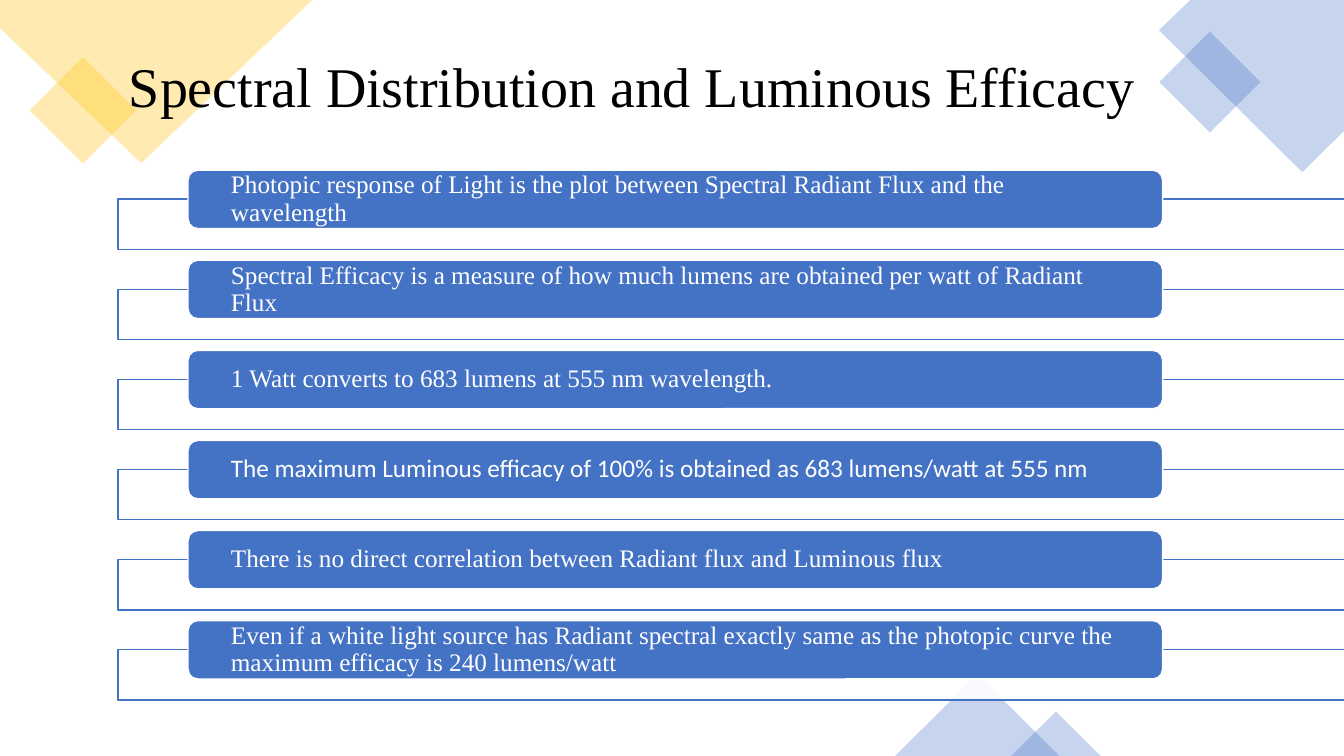
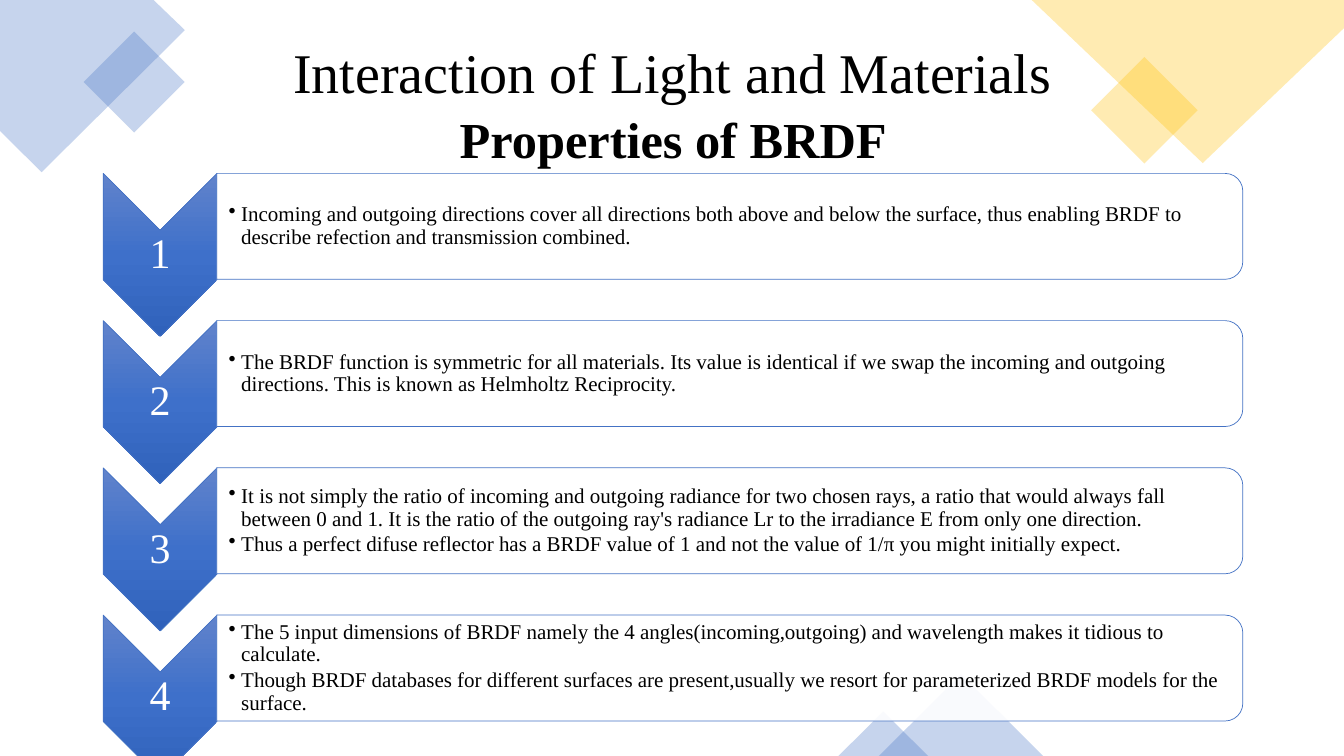
"""Build two lighting slides that share corner decoration and title style."""
from dataclasses import dataclass

from lxml import etree
from pptx import Presentation
from pptx.dml.color import RGBColor
from pptx.enum.shapes import MSO_SHAPE
from pptx.enum.text import MSO_ANCHOR, PP_ALIGN
from pptx.oxml.ns import qn
from pptx.util import Cm, Pt

RECTANGLE = MSO_SHAPE.RECTANGLE
ROUNDED = MSO_SHAPE.ROUNDED_RECTANGLE
TRIANGLE = MSO_SHAPE.ISOSCELES_TRIANGLE
CHEVRON = MSO_SHAPE.CHEVRON
ROUND_TOP = MSO_SHAPE.ROUND_2_SAME_RECTANGLE
LEFT, CENTER = PP_ALIGN.LEFT, PP_ALIGN.CENTER
TOP, MIDDLE = MSO_ANCHOR.TOP, MSO_ANCHOR.MIDDLE

BLUE, YELLOW, WHITE, BLACK = "4472C4", "FFC000", "FFFFFF", "000000"
CHEVRON_STOPS = ((0, "6183CB"), (50, "3E70CA"), (100, "3062BB"))
SERIF, SANS = "Times New Roman", "Calibri"
SLIDE_WIDTH, SLIDE_HEIGHT = 33.87, 19.05
DECOR_OPACITY, PANEL_OPACITY = 30, 90
YELLOW_CORNER = ((0, 0), (7.87, 0), (3.56, 4.11), (0, 0.71))
BLUE_CORNER = ((30, 0), (33.87, 0), (33.87, 3.3), (32.82, 4.34), (29.21, 0.76))
STATEMENT_PITCH, PROPERTY_PITCH = 2.27, 3.71


@dataclass(frozen=True)
class Box:
    """Frame in centimetres."""
    left: float
    top: float
    width: float
    height: float

    def down(self, distance: float) -> "Box":
        """Return the frame moved down."""
        return Box(self.left, self.top + distance, self.width, self.height)

    def turned(self) -> "Box":
        """Return the frame that fills this one after a quarter turn."""
        shift = (self.width - self.height) / 2
        return Box(self.left + shift, self.top - shift, self.height, self.width)


@dataclass(frozen=True)
class TextStyle:
    """Look of a block of text."""
    size: float
    color: str = BLACK
    font: str = SERIF
    bold: bool = False
    align: PP_ALIGN = LEFT
    anchor: MSO_ANCHOR = TOP
    insets: tuple[float, float, float, float] = (0.25, 0.13, 0.25, 0.13)
    spacing: float = 1.0
    space_after: float = 0
    bullet: bool = False


@dataclass(frozen=True)
class Statement:
    """Sentence on a blue bar."""
    text: str
    font: str = SERIF


TITLE = TextStyle(40)
CENTERED_TITLE = TextStyle(40, align=CENTER)
SUBTITLE = TextStyle(36, bold=True, align=CENTER)
NUMBER = TextStyle(30, WHITE, align=CENTER, anchor=MIDDLE,
                   insets=(0.05, 0.05, 0.05, 0.05), spacing=0.9)
PROPERTY = TextStyle(15, anchor=MIDDLE, insets=(0.3, 0.03, 0.03, 0.03),
                     spacing=0.9, space_after=2.25, bullet=True)

STATEMENTS = (
    Statement("Photopic response of Light is the plot between Spectral Radiant Flux "
              "and the wavelength"),
    Statement("Spectral Efficacy is a measure of how much lumens are obtained per watt "
              "of Radiant Flux"),
    Statement("1 Watt converts to 683 lumens at 555 nm wavelength."),
    Statement("The maximum Luminous efficacy of 100% is obtained as 683 lumens/watt "
              "at 555 nm", SANS),
    Statement("There is no direct correlation between Radiant flux and Luminous flux"),
    Statement("Even if a white light source has Radiant spectral exactly same as the "
              "photopic curve the maximum efficacy is 240 lumens/watt"),
)
PROPERTIES = (
    ("Incoming and outgoing directions cover all directions both above and below the "
     "surface, thus enabling BRDF to describe refection and transmission combined.",),
    ("The BRDF function is symmetric for all materials. Its value is identical if we "
     "swap the incoming and outgoing directions. This is known as Helmholtz "
     "Reciprocity.",),
    ("It is not simply the ratio of incoming and outgoing radiance for two chosen rays, "
     "a ratio that would always fall between 0 and 1. It is the ratio of the outgoing "
     "ray's radiance Lr to the irradiance E from only one direction.",
     "Thus a perfect difuse reflector has a BRDF value of 1 and not the value of 1/π "
     "you might initially expect."),
    ("The 5 input dimensions of BRDF namely the 4 angles(incoming,outgoing) and "
     "wavelength makes it tidious to calculate.",
     "Though BRDF databases for different surfaces are present,usually we resort for "
     "parameterized BRDF models for the surface."),
)


def rgb(color: str) -> RGBColor:
    """Turn a hex string into a colour."""
    return RGBColor.from_string(color)


def frame(box: Box) -> tuple[Cm, Cm, Cm, Cm]:
    """Turn a box into lengths."""
    return Cm(box.left), Cm(box.top), Cm(box.width), Cm(box.height)


def paint(shape, color: str, opacity: int = 100, line: str = "", weight: float = 1) -> None:
    """Set fill, opacity and outline, without shadow."""
    shape.shadow.inherit = False
    shape.fill.solid()
    shape.fill.fore_color.rgb = rgb(color)
    if opacity < 100:
        color_element = shape.fill._xPr.find(qn("a:solidFill"))[0]
        etree.SubElement(color_element, qn("a:alpha"), val=str(opacity * 1000))
    if line:
        shape.line.color.rgb = rgb(line)
        shape.line.width = Pt(weight)
    else:
        shape.line.fill.background()


def paint_gradient(shape, stops: tuple[tuple[int, str], ...]) -> None:
    """Fill a shape with a gradient along its own horizontal axis."""
    shape.fill.gradient()
    shape.fill.gradient_angle = 0
    stop_list = shape.fill._xPr.find(qn("a:gradFill")).find(qn("a:gsLst"))
    for old_stop in list(stop_list):
        stop_list.remove(old_stop)
    for position, color in stops:
        stop = etree.SubElement(stop_list, qn("a:gs"), pos=str(position * 1000))
        etree.SubElement(stop, qn("a:srgbClr"), val=color)


def add_shape(slide, kind: MSO_SHAPE, box: Box, color: str, opacity: int = 100,
              line: str = "", weight: float = 1, rotation: float = 0):
    """Add a painted preset shape."""
    shape = slide.shapes.add_shape(kind, *frame(box))
    shape.rotation = rotation
    paint(shape, color, opacity, line, weight)
    return shape


def write(shape, lines: tuple[str, ...], style: TextStyle) -> None:
    """Write one paragraph per line in the given style."""
    text_frame = shape.text_frame
    text_frame.word_wrap = True
    text_frame.vertical_anchor = style.anchor
    (text_frame.margin_left, text_frame.margin_top,
     text_frame.margin_right, text_frame.margin_bottom) = map(Cm, style.insets)
    for index, line in enumerate(lines):
        paragraph = text_frame.add_paragraph() if index else text_frame.paragraphs[0]
        paragraph.alignment = style.align
        paragraph.line_spacing = style.spacing
        if index < len(lines) - 1:
            paragraph.space_after = Pt(style.space_after)
        if style.bullet:
            properties = paragraph._p.get_or_add_pPr()
            properties.set("marL", str(Cm(0.32)))
            properties.set("indent", str(-Cm(0.32)))
            etree.SubElement(properties, qn("a:buChar"), char="•")
        run = paragraph.add_run()
        run.text = line
        run.font.name = style.font
        run.font.size = Pt(style.size)
        run.font.bold = style.bold
        run.font.color.rgb = rgb(style.color)


def add_text(slide, box: Box, lines: tuple[str, ...], style: TextStyle) -> None:
    """Add a text box."""
    write(slide.shapes.add_textbox(*frame(box)), lines, style)


def add_polygon(slide, points, color: str) -> None:
    """Add a translucent closed outline."""
    corners = [(Cm(x), Cm(y)) for x, y in points]
    builder = slide.shapes.build_freeform(*corners[0], scale=1.0)
    builder.add_line_segments(corners[1:], close=True)
    paint(builder.convert_to_shape(), color, DECOR_OPACITY)


def decorate(slide, mirrored: bool, yellow_left: float, large_left: float,
             small_left: float) -> None:
    """Draw the corner outlines, the diamonds and the bottom triangles."""
    for points, color in ((YELLOW_CORNER, YELLOW), (BLUE_CORNER, BLUE)):
        if mirrored:
            points = [(SLIDE_WIDTH - x, y) for x, y in points]
        add_polygon(slide, points, color)
    blue_left = SLIDE_WIDTH - 29.59 - 1.8 if mirrored else 29.59
    for kind, box, color, rotation in (
        (RECTANGLE, Box(yellow_left, 1.83, 1.9, 1.9), YELLOW, 45),
        (RECTANGLE, Box(blue_left, 1.17, 1.8, 1.8), BLUE, 45),
        (TRIANGLE, Box(large_left, 16.99, 4.14, 2.06), BLUE, 0),
        (TRIANGLE, Box(small_left, 17.93, 2.26, 1.12), BLUE, 0),
    ):
        add_shape(slide, kind, box, color, DECOR_OPACITY, rotation=rotation)


def add_statement(slide, index: int, statement: Statement) -> None:
    """Draw one blue bar over its outlined panel."""
    offset = index * STATEMENT_PITCH
    add_shape(slide, RECTANGLE, Box(2.97, 5.02, 35.08, 1.27).down(offset),
              WHITE, PANEL_OPACITY, BLUE)
    bar = add_shape(slide, ROUNDED, Box(4.74, 4.29, 24.56, 1.47).down(offset),
                    BLUE, line=WHITE)
    write(bar, (statement.text,),
          TextStyle(18, WHITE, statement.font, anchor=MIDDLE,
                    insets=(1.01, 0, 1.01, 0), spacing=0.9))


def add_property(slide, index: int, lines: tuple[str, ...]) -> None:
    """Draw one numbered chevron with its panel of bullets."""
    offset = index * PROPERTY_PITCH
    chevron = add_shape(slide, CHEVRON, Box(2.6, 4.37, 2.87, 4.11).down(offset).turned(),
                        BLUE, line=BLUE, weight=0.5, rotation=90)
    paint_gradient(chevron, CHEVRON_STOPS)
    add_text(slide, Box(2.6, 5.81, 2.87, 1.24).down(offset), (str(index + 1),), NUMBER)
    add_shape(slide, ROUND_TOP, Box(5.46, 4.37, 25.86, 2.67).down(offset).turned(),
              WHITE, PANEL_OPACITY, BLUE, 0.5, 90)
    add_text(slide, Box(5.46, 4.5, 25.73, 2.41).down(offset), lines, PROPERTY)


def build_efficacy(slide) -> None:
    """Build the slide on luminous efficacy."""
    decorate(slide, False, 1.14, 22.56, 25.48)
    add_text(slide, Box(3, 1.17, 26.92, 1.96),
             ("Spectral Distribution and Luminous Efficacy",), TITLE)
    for index, statement in enumerate(STATEMENTS):
        add_statement(slide, index, statement)


def build_reflectance(slide) -> None:
    """Build the slide on BRDF properties."""
    decorate(slide, True, 27.89, 22.15, 21.13)
    add_text(slide, Box(5.59, 0.81, 22.71, 1.96),
             ("Interaction of Light and Materials",), CENTERED_TITLE)
    add_text(slide, Box(8.59, 2.59, 16.76, 1.8), ("Properties of BRDF",), SUBTITLE)
    for index, lines in enumerate(PROPERTIES):
        add_property(slide, index, lines)


def main() -> None:
    """Build and save the presentation."""
    presentation = Presentation()
    presentation.slide_width = Cm(SLIDE_WIDTH)
    presentation.slide_height = Cm(SLIDE_HEIGHT)
    blank = presentation.slide_layouts[6]
    for build in (build_efficacy, build_reflectance):
        build(presentation.slides.add_slide(blank))
    presentation.save("out.pptx")


if __name__ == "__main__":
    main()
